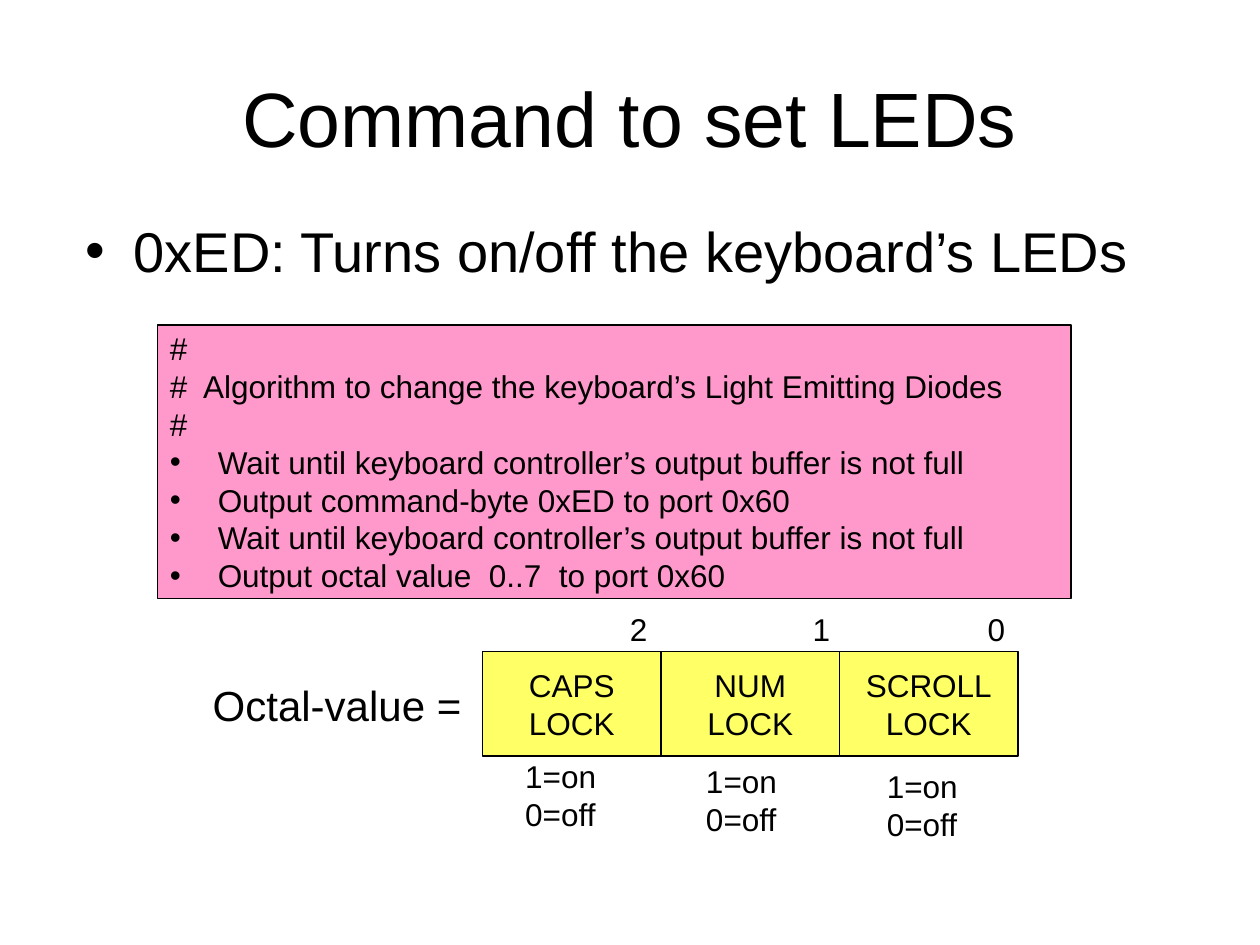
from lxml import etree
from pptx import Presentation
from pptx.dml.color import RGBColor
from pptx.enum import shapes, text
from pptx.oxml import ns
from pptx.util import Inches, Pt

BLACK, PINK, YELLOW = "000000", "FF99CC", "FFFF66"
HANG = Inches(0.38)
LEFT, CENTER = text.PP_ALIGN.LEFT, text.PP_ALIGN.CENTER


def color(hex_value):
    return RGBColor.from_string(hex_value)


def write(frame, lines, size, align=LEFT):
    for number, line in enumerate(lines):
        paragraph = frame.paragraphs[0] if number == 0 else frame.add_paragraph()
        paragraph.alignment = align
        run = paragraph.add_run()
        run.text = line
        run.font.size = Pt(size)
        run.font.name = "Arial"
        run.font.color.rgb = color(BLACK)


def hang(paragraph, bullet=None):
    properties = paragraph._p.get_or_add_pPr()
    properties.set("marL", str(HANG))
    properties.set("indent", str(-HANG))
    if bullet:
        etree.SubElement(properties, ns.qn("a:buFont"), typeface="Arial")
        etree.SubElement(properties, ns.qn("a:buChar"), char=bullet)


def add_tabs(paragraph, stops):
    tabs = etree.SubElement(paragraph._p.get_or_add_pPr(), ns.qn("a:tabLst"))
    for stop in stops:
        etree.SubElement(tabs, ns.qn("a:tab"), pos=str(Inches(stop)), algn="l")


def fill_placeholder(placeholder, box, line, size, align, anchor):
    placeholder.left, placeholder.top, placeholder.width, placeholder.height = map(Inches, box)
    frame = placeholder.text_frame
    frame.auto_size = text.MSO_AUTO_SIZE.NONE
    frame.vertical_anchor = anchor
    write(frame, [line], size, align)
    return frame.paragraphs[0]


def add_panel(slide, box, fill, lines, align):
    panel = slide.shapes.add_shape(shapes.MSO_SHAPE.RECTANGLE, *map(Inches, box))
    panel.shadow.inherit = False
    panel.fill.solid()
    panel.fill.fore_color.rgb = color(fill)
    panel.line.color.rgb = color(BLACK)
    panel.line.width = Pt(0.75)
    panel.text_frame.vertical_anchor = text.MSO_ANCHOR.MIDDLE
    write(panel.text_frame, lines, 18, align)
    return panel.text_frame.paragraphs


def add_label(slide, box, lines, size):
    label = slide.shapes.add_textbox(*map(Inches, box))
    label.text_frame.word_wrap = False
    write(label.text_frame, lines, size)
    return label.text_frame.paragraphs


def add_algorithm(slide, box):
    heading = ["#", "#  Algorithm to change the keyboard’s Light Emitting Diodes", "#"]
    wait = "Wait until keyboard controller’s output buffer is not full"
    steps = [
        wait,
        "Output command-byte 0xED to port 0x60",
        wait,
        "Output octal value  0..7  to port 0x60",
    ]
    paragraphs = add_panel(slide, box, PINK, heading + steps, LEFT)
    for number, paragraph in enumerate(paragraphs):
        hang(paragraph, "•" if number >= len(heading) else None)


def add_octal_value(slide, box):
    left, top, width, height = box
    locks = ["CAPS", "NUM", "SCROLL"]
    cell = width / len(locks)
    for number, lock in enumerate(locks):
        x = left + number * cell
        add_panel(slide, (x, top, cell, height), YELLOW, [lock, "LOCK"], CENTER)
        states_at = (left + 0.24 + number * 1.435, top + 0.79 + number * 0.04)
        add_label(slide, (*states_at, 0.76, 0.7), ["1=on", "0=off"], 18)
    add_label(slide, (left - 2.24, top + 0.17, 2.17, 0.5), ["Octal-value ="], 24)
    bits = add_label(slide, (left + 1.07, top - 0.38, 3.18, 0.4), ["2\t1\t0"], 18)
    add_tabs(bits[0], [1.45, 2.84])


def main():
    presentation = Presentation()
    presentation.slide_width, presentation.slide_height = Inches(10), Inches(7.5)
    slide = presentation.slides.add_slide(presentation.slide_layouts[1])
    title, body = slide.placeholders
    fill_placeholder(title, (0.5, 0.3, 9, 1.25), "Command to set LEDs", 44,
                     CENTER, text.MSO_ANCHOR.MIDDLE)
    command = fill_placeholder(body, (0.58, 1.67, 9, 4.95),
                               "0xED: Turns on/off the keyboard’s LEDs", 32,
                               LEFT, text.MSO_ANCHOR.TOP)
    hang(command, "•")
    command.space_before = Pt(0)
    add_algorithm(slide, (1.25, 2.58, 7.25, 2.17))
    add_octal_value(slide, (3.83, 5.17, 4.25, 0.83))
    presentation.save("out.pptx")


if __name__ == "__main__":
    main()
